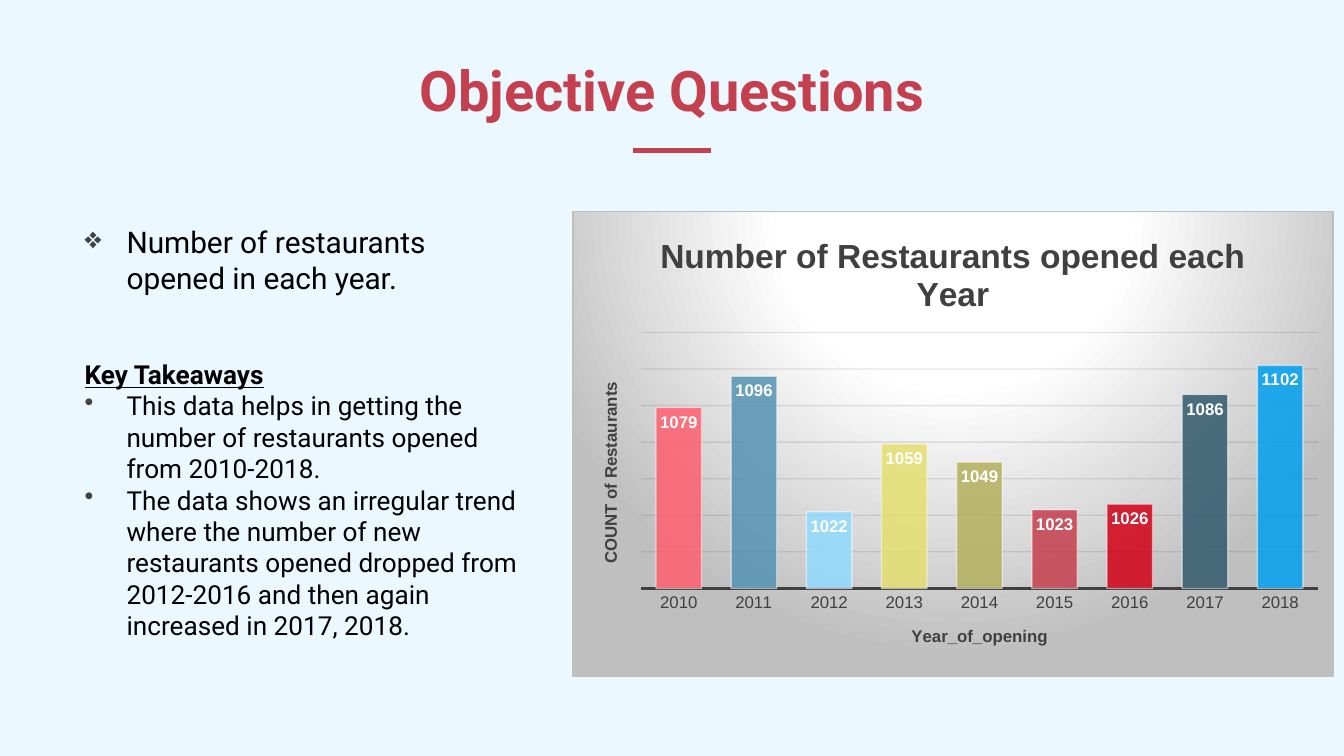
import pptx
import pptx.chart.data
import pptx.dml.color
import pptx.enum.chart
import pptx.enum.text
import pptx.oxml
import pptx.oxml.ns
import pptx.util
from lxml import etree

Pt = pptx.util.Pt
qn = pptx.oxml.ns.qn

RED, BLACK, DARK, GRAY = "C5404E", "000000", "404040", "BFBFBF"
OPENINGS = {
    "2010": (1079, "FF5F70"),
    "2011": (1096, "5493B3"),
    "2012": (1022, "91DAFF"),
    "2013": (1059, "E4DF6F"),
    "2014": (1049, "B3B05D"),
    "2015": (1023, "C5404E"),
    "2016": (1026, "D20016"),
    "2017": (1086, "31596D"),
    "2018": (1102, "009FF0"),
}
CHART_BACKGROUND = f"""
<c:spPr {pptx.oxml.ns.nsdecls("c", "a")}>
  <a:gradFill>
    <a:gsLst>
      <a:gs pos="0"><a:srgbClr val="FFFFFF"/></a:gs>
      <a:gs pos="39000"><a:srgbClr val="FFFFFF"/></a:gs>
      <a:gs pos="100000"><a:srgbClr val="{GRAY}"/></a:gs>
    </a:gsLst>
    <a:path path="circle"><a:fillToRect l="50000" t="-80000" r="50000" b="180000"/></a:path>
  </a:gradFill>
  <a:ln w="9525"><a:solidFill><a:srgbClr val="{GRAY}"/></a:solidFill></a:ln>
</c:spPr>"""
PLOT_LAYOUT = {"x": 0.09, "y": 0.26, "w": 0.89, "h": 0.55}


def color(value):
    return pptx.dml.color.RGBColor.from_string(value)


def style_font(font, size, value, bold=False, name="Arial"):
    font.name, font.size, font.bold = name, Pt(size), bold
    font.color.rgb = color(value)


def style_line(line, value, width):
    line.color.rgb = color(value)
    line.width = Pt(width)


def set_alpha(element, query, percent):
    """Make every colour that the query finds partly transparent."""
    for found in element.xpath(query):
        etree.SubElement(found, qn("a:alpha"), val=str(percent * 1000))


def set_bullet(paragraph, character):
    properties = paragraph._p.get_or_add_pPr()
    properties.set("marL", str(Pt(22.5)))
    properties.set("indent", str(-Pt(22.5)))
    bullet_color = etree.SubElement(properties, qn("a:buClr"))
    etree.SubElement(bullet_color, qn("a:srgbClr"), val="434343")
    etree.SubElement(properties, qn("a:buChar"), char=character)


def set_title(owner, text, size):
    """Give a chart or an axis a bold title."""
    frame = (owner.chart_title if hasattr(owner, "chart_title") else owner.axis_title).text_frame
    run = frame.paragraphs[0].add_run()
    run.text = text
    style_font(run.font, size, DARK, bold=True)
    return frame


def set_plot_layout(chart):
    plot_area = chart._chartSpace.xpath("c:chart/c:plotArea")[0]
    for old in plot_area.xpath("c:layout"):
        plot_area.remove(old)
    layout = etree.Element(qn("c:layout"))
    plot_area.insert(0, layout)
    manual = etree.SubElement(layout, qn("c:manualLayout"))
    settings = {"layoutTarget": "inner", "xMode": "edge", "yMode": "edge", **PLOT_LAYOUT}
    for tag, value in settings.items():
        etree.SubElement(manual, qn(f"c:{tag}"), val=str(value))


class SlideBuilder:
    font_name = "Roboto"

    def __init__(self, presentation, background):
        self.slide = presentation.slides.add_slide(presentation.slide_layouts[6])
        fill = self.slide.background.fill
        fill.solid()
        fill.fore_color.rgb = color(background)

    def text_box(self, left, top, width, height, anchor):
        shape = self.slide.shapes.add_textbox(Pt(left), Pt(top), Pt(width), Pt(height))
        frame = shape.text_frame
        frame.word_wrap = True
        frame.vertical_anchor = anchor
        frame.margin_left = frame.margin_right = Pt(7.2)
        frame.margin_top = frame.margin_bottom = Pt(7.2)
        return frame

    def paragraph(self, frame, text, size, value=BLACK, bold=False, underline=False, bullet=None):
        first = frame.paragraphs[0]
        paragraph = frame.add_paragraph() if first.runs else first
        run = paragraph.add_run()
        run.text = text
        style_font(run.font, size, value, bold, self.font_name)
        run.font.underline = underline
        if bullet:
            set_bullet(paragraph, bullet)
        return paragraph

    def line(self, start, end, value, width):
        connector = self.slide.shapes.add_connector(
            pptx.enum.shapes.MSO_CONNECTOR.STRAIGHT, *map(Pt, start + end))
        style_line(connector.line, value, width)
        etree.SubElement(connector._element.spPr, qn("a:effectLst"))

    def column_chart(self, left, top, width, height, title, openings):
        data = pptx.chart.data.CategoryChartData()
        data.categories = list(openings)
        data.add_series("Series 1", [count for count, _ in openings.values()])
        chart = self.slide.shapes.add_chart(
            pptx.enum.chart.XL_CHART_TYPE.COLUMN_CLUSTERED,
            Pt(left), Pt(top), Pt(width), Pt(height), data).chart
        style_font(chart.font, 10, BLACK)
        chart.has_legend = False
        set_title(chart, title, 18)
        chart.chart_title.include_in_layout = False
        chart._chartSpace.xpath("c:chart")[0].addnext(pptx.oxml.parse_xml(CHART_BACKGROUND))
        set_plot_layout(chart)
        self.style_axes(chart)
        self.style_columns(chart.plots[0], [value for _, value in openings.values()])

    def style_axes(self, chart):
        years, counts = chart.category_axis, chart.value_axis
        set_title(years, "Year_of_opening", 9)
        years.major_tick_mark = pptx.enum.chart.XL_TICK_MARK.NONE
        style_font(years.tick_labels.font, 9, DARK)
        style_line(years.format.line, DARK, 1.5)

        frame = set_title(counts, "COUNT of Restaurants", 9)
        frame._bodyPr.set("rot", "-5400000")
        frame._bodyPr.set("vert", "horz")
        counts.visible = False
        counts.minimum_scale, counts.maximum_scale, counts.major_unit = 980, 1120, 20
        style_line(counts.major_gridlines.format.line, "0D0D0D", 0.75)
        set_alpha(counts._element, "c:majorGridlines//a:srgbClr", 10)

    def style_columns(self, plot, colors):
        plot.gap_width = 65
        plot.vary_by_categories = False
        series = plot.series[0]
        for index, value in enumerate(colors):
            point_format = series.points[index].format
            point_format.fill.solid()
            point_format.fill.fore_color.rgb = color(value)
            style_line(point_format.line, "FFFFFF", 0.75)
        set_alpha(series._element, "c:dPt/c:spPr/a:solidFill/a:srgbClr", 85)
        set_alpha(series._element, "c:dPt/c:spPr/a:ln//a:srgbClr", 50)
        labels = series.data_labels
        labels.show_value = True
        labels.position = pptx.enum.chart.XL_LABEL_POSITION.INSIDE_END
        style_font(labels.font, 9, "FFFFFF", bold=True)


def main():
    presentation = pptx.Presentation()
    presentation.slide_width, presentation.slide_height = Pt(720), Pt(405)
    builder = SlideBuilder(presentation, "ECF8FF")
    anchors = pptx.enum.text.MSO_ANCHOR

    builder.line((339, 80.6), (381, 80.6), RED, 3)
    title = builder.text_box(62.5, 13, 595, 60, anchors.BOTTOM)
    heading = builder.paragraph(title, "Objective Questions", 30, RED, bold=True)
    heading.alignment = pptx.enum.text.PP_ALIGN.CENTER

    body = builder.text_box(38.2, 112.5, 251, 266, anchors.TOP)
    builder.paragraph(body, "Number of restaurants opened in each year.", 16, bullet="❖")
    takeaways = builder.paragraph(body, "Key Takeaways", 14, bold=True, underline=True)
    takeaways.space_before = Pt(34)
    for text in (
        "This data helps in getting the number of restaurants opened from 2010-2018.",
        "The data shows an irregular trend where the number of new restaurants opened "
        "dropped from 2012-2016 and then again increased in 2017, 2018.",
    ):
        builder.paragraph(body, text, 14, bullet="•")

    builder.column_chart(306.5, 113, 408, 250, "Number of Restaurants opened each Year", OPENINGS)
    presentation.save("out.pptx")


if __name__ == "__main__":
    main()
